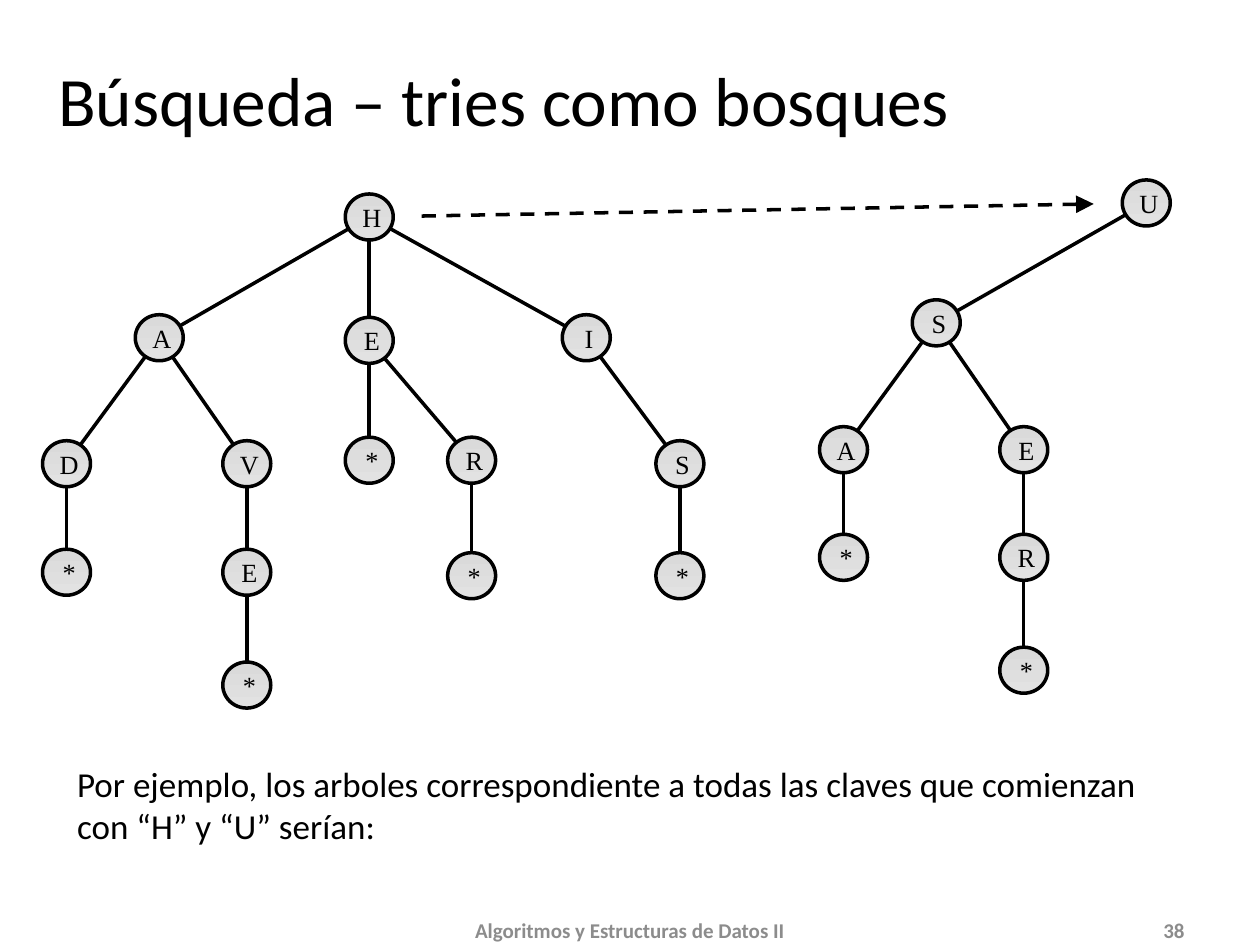
from dataclasses import dataclass
from math import hypot

from lxml import etree
from pptx import Presentation
from pptx.dml.color import RGBColor
from pptx.enum.dml import MSO_LINE
from pptx.enum.shapes import MSO_CONNECTOR, MSO_SHAPE
from pptx.enum.text import MSO_ANCHOR, PP_ALIGN
from pptx.oxml.ns import qn
from pptx.util import Pt

DASH = MSO_LINE.DASH
STRAIGHT = MSO_CONNECTOR.STRAIGHT
ELLIPSE = MSO_SHAPE.OVAL
TOP, MIDDLE, BOTTOM = MSO_ANCHOR.TOP, MSO_ANCHOR.MIDDLE, MSO_ANCHOR.BOTTOM
LEFT, CENTER, RIGHT = PP_ALIGN.LEFT, PP_ALIGN.CENTER, PP_ALIGN.RIGHT


@dataclass(frozen=True)
class Theme:
    """Colours, fonts and sizes of the slide."""

    ink: RGBColor = RGBColor(0x00, 0x00, 0x00)
    muted: RGBColor = RGBColor(0x8C, 0x8C, 0x8C)
    node_top: RGBColor = RGBColor(0xDA, 0xDA, 0xDA)
    node_bottom: RGBColor = RGBColor(0xE2, 0xE2, 0xE2)
    font: str = "Calibri"
    node_font: str = "Times New Roman"
    title_size: float = 39.6
    body_size: float = 20
    node_size: float = 15
    footer_size: float = 12
    line_width: float = 2
    node_width: float = 27.4
    node_height: float = 26.3


THEME = Theme()

H_TREE = {
    "H": (187, 13),
    "HA": (67, 82), "HE": (187, 83.5), "HI": (311, 82),
    "HAD": (14, 154), "HAV": (117, 154),
    "HE*": (187, 152), "HER": (245.5, 152), "HIS": (364.5, 154),
    "HAD*": (14, 216), "HAVE": (117, 216),
    "HER*": (245.5, 218), "HIS*": (364.5, 218),
    "HAVE*": (117, 280.5),
}
U_TREE = {
    "U": (187, 13),
    "US": (67, 81.5),
    "USA": (14, 154), "USE": (117, 154),
    "USA*": (14, 215.5), "USER": (117, 215.5),
    "USER*": (117, 280),
}


def write(frame, text, font, align=LEFT, anchor=TOP, before=0):
    """Put one formatted paragraph in a text frame."""
    frame.vertical_anchor = anchor
    para = frame.paragraphs[0]
    para.alignment = align
    para.space_before = Pt(before)
    span = para.add_run()
    span.text = text
    span.font.color.rgb = font["color"]
    for name, value in font.items():
        if name != "color":
            setattr(span.font, name, value)


def add_text(page, box, text, font, **layout):
    """Place a wrapped text box in the given box."""
    frame = page.shapes.add_textbox(*map(Pt, box)).text_frame
    frame.word_wrap = True
    write(frame, text, font, **layout)


def add_title(page, box, text):
    """Place the slide title."""
    font = {"name": THEME.font, "size": Pt(THEME.title_size), "color": THEME.ink}
    add_text(page, box, text, font, align=CENTER, anchor=BOTTOM)


def add_body(page, box, text):
    """Place the explanation below the trees."""
    font = {"name": THEME.font, "size": Pt(THEME.body_size), "color": THEME.ink}
    add_text(page, box, text, font, before=4)


def add_footer(page, box, text, number):
    """Place the course name in the middle and the page number on the right."""
    left, top, width, height = box
    font = {"name": THEME.font, "size": Pt(THEME.footer_size),
            "color": THEME.muted, "bold": True}
    course_width, number_width = 228, 168
    course_left = left + (width - course_width) / 2
    number_left = left + width - number_width
    add_text(page, (course_left, top, course_width, height), text, font,
             align=CENTER, anchor=MIDDLE)
    add_text(page, (number_left, top, number_width, height), number, font,
             align=RIGHT, anchor=MIDDLE)


def add_link(page, start, end, gap, arrow=False):
    """Join two node centres, leaving a gap at both ends."""
    across, down = end[0] - start[0], end[1] - start[1]
    length = hypot(across, down)
    step_x, step_y = gap * across / length, gap * down / length
    ends = (start[0] + step_x, start[1] + step_y, end[0] - step_x, end[1] - step_y)
    link = page.shapes.add_connector(STRAIGHT, *map(Pt, ends))
    link.line.color.rgb = THEME.ink
    link.line.width = Pt(THEME.line_width)
    properties = link._element.spPr
    if arrow:
        link.line.dash_style = DASH
        etree.SubElement(properties.find(qn("a:ln")), qn("a:tailEnd"),
                         type="triangle", w="lg", len="lg")
    etree.SubElement(properties, qn("a:effectLst"))


def add_node(page, center, letter):
    """Draw one round node with its letter."""
    width, height = THEME.node_width, THEME.node_height
    box = (center[0] - width / 2, center[1] - height / 2, width, height)
    node = page.shapes.add_shape(ELLIPSE, *map(Pt, box))
    node.shadow.inherit = False
    node.fill.gradient()
    node.fill.gradient_angle = 270
    for stop, color in zip(node.fill.gradient_stops, (THEME.node_top, THEME.node_bottom)):
        stop.color.rgb = color
    node.line.color.rgb = THEME.ink
    node.line.width = Pt(THEME.line_width)
    frame = node.text_frame
    frame.word_wrap = False
    margins = {"margin_left": 3, "margin_right": 0, "margin_top": 0, "margin_bottom": 0}
    for name, value in margins.items():
        setattr(frame, name, Pt(value))
    font = {"name": THEME.node_font, "size": Pt(THEME.node_size), "color": THEME.ink}
    write(frame, letter, font, align=CENTER, anchor=MIDDLE)


def add_tree(page, corner, tree):
    """Draw a trie keyed by prefix and return the centre of its root."""
    centers = {prefix: (corner[0] + x, corner[1] + y) for prefix, (x, y) in tree.items()}
    for prefix, center in centers.items():
        add_node(page, center, prefix[-1])
    for prefix, center in centers.items():
        if prefix[:-1]:
            add_link(page, centers[prefix[:-1]], center, gap=14)
    return next(iter(centers.values()))


def main():
    """Build the slide and save it."""
    deck = Presentation()
    deck.slide_width, deck.slide_height = Pt(720), Pt(540)
    page = deck.slides.add_slide(deck.slide_layouts[6])
    add_title(page, (0, 12, 576, 72), "Búsqueda – tries como bosques")
    first_root = add_tree(page, (24, 111), H_TREE)
    second_root = add_tree(page, (468, 103), U_TREE)
    add_link(page, first_root, second_root, gap=30, arrow=True)
    add_body(page, (37, 432, 653, 70.5),
             "Por ejemplo, los arboles correspondiente a todas las claves "
             "que comienzan con “H” y “U” serían:")
    add_footer(page, (36, 517, 648, 29), "Algoritmos y Estructuras de Datos II", "38")
    deck.save("out.pptx")


if __name__ == "__main__":
    main()
